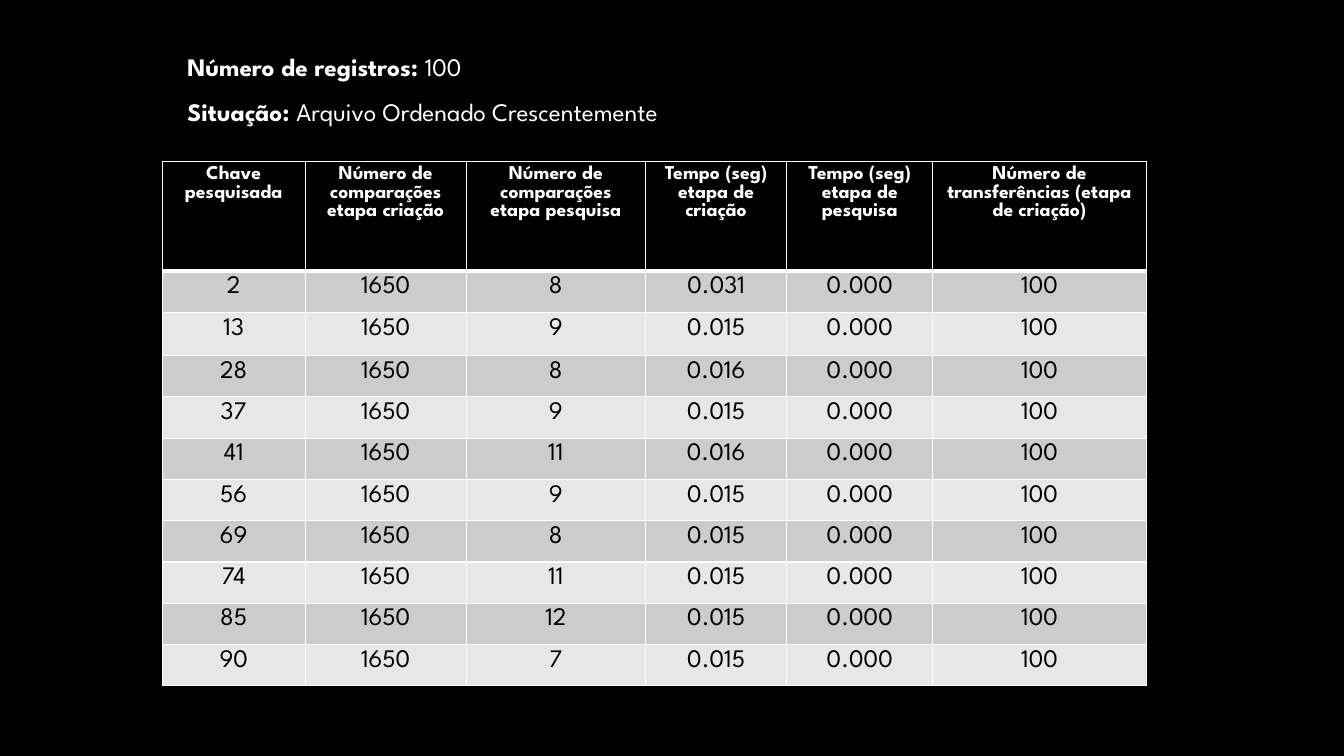
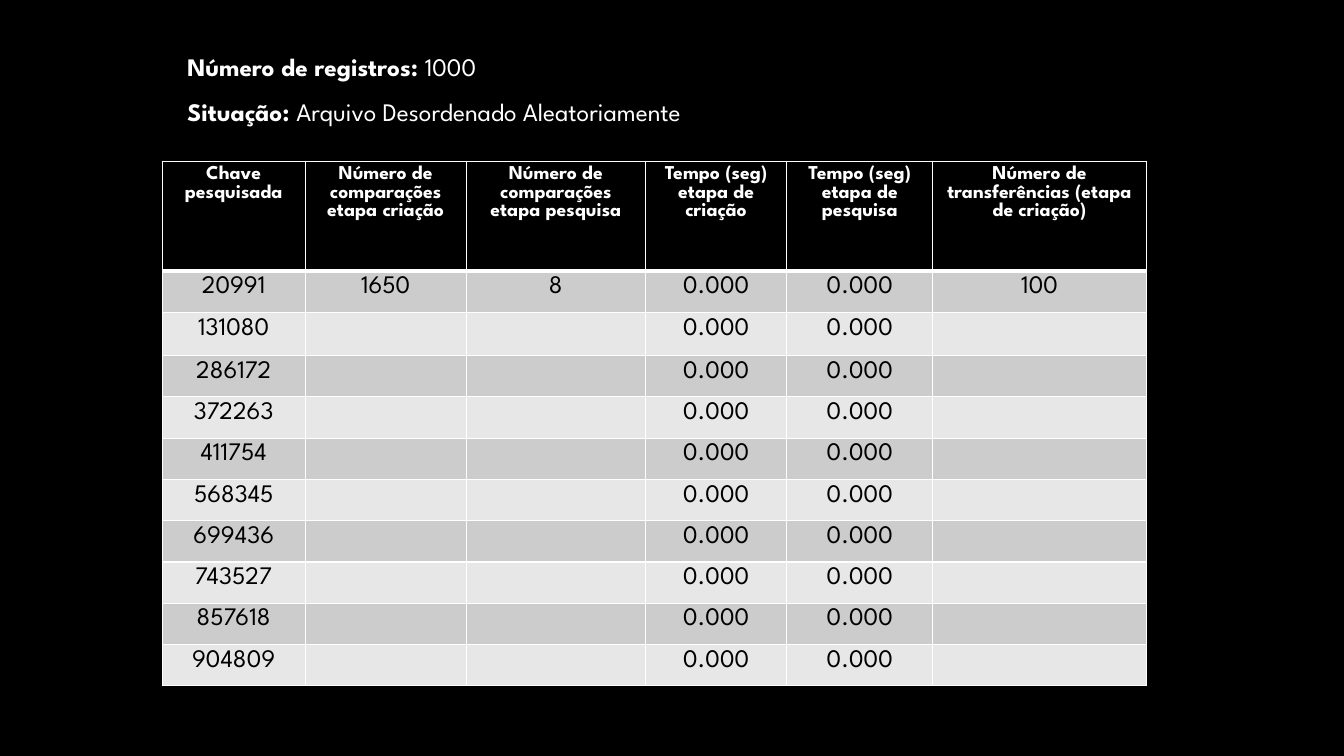
import dataclasses

import lxml.etree
import pptx
import pptx.dml.color
import pptx.enum.text
import pptx.oxml.ns
import pptx.util

Cm = pptx.util.Cm
Pt = pptx.util.Pt


@dataclasses.dataclass(frozen=True)
class Theme:
    font: str = "League Spartan"
    background: str = "000000"
    light: str = "FFFFFF"
    dark: str = "000000"
    bands: tuple = ("CCCCCC", "E7E7E7")
    body_size: int = 18
    header_size: int = 14
    rule: int = 1
    header_rule: int = 3


THEME = Theme()

COLUMN_WIDTHS = [3.6, 4.06, 4.52, 3.56, 3.68, 5.38]
ROW_HEIGHTS = [2.77, 1.04, 1.09] + [1.04] * 8
HEADERS = [
    "Chave pesquisada",
    "Número de comparações etapa criação",
    "Número de comparações etapa pesquisa",
    "Tempo (seg) etapa de criação",
    "Tempo (seg) etapa de pesquisa",
    "Número de transferências (etapa de criação)",
]

ordered_results = [
    (key, "1650", comparisons, creation_time, "0.000", "100")
    for key, comparisons, creation_time in [
        ("2", "8", "0.031"),
        ("13", "9", "0.015"),
        ("28", "8", "0.016"),
        ("37", "9", "0.015"),
        ("41", "11", "0.016"),
        ("56", "9", "0.015"),
        ("69", "8", "0.015"),
        ("74", "11", "0.015"),
        ("85", "12", "0.015"),
        ("90", "7", "0.015"),
    ]
]
random_results = [("20991", "1650", "8", "0.000", "0.000", "100")] + [
    (key, "", "", "0.000", "0.000", "")
    for key in ["131080", "286172", "372263", "411754", "568345",
                "699436", "743527", "857618", "904809"]
]
EXPERIMENTS = [
    ("100", "Arquivo Ordenado Crescentemente", ordered_results),
    ("1000", "Arquivo Desordenado Aleatoriamente", random_results),
]


def add_run(paragraph, text, size, color, bold=False):
    run = paragraph.add_run()
    run.text = text
    run.font.name = THEME.font
    run.font.size = Pt(size)
    run.font.bold = bold
    run.font.color.rgb = pptx.dml.color.RGBColor.from_string(color)


def add_borders(cell, top, bottom):
    """Rule all four sides of a cell; call before its fill is set."""
    qn = pptx.oxml.ns.qn
    properties = cell._tc.get_or_add_tcPr()
    sides = {"lnL": THEME.rule, "lnR": THEME.rule, "lnT": top, "lnB": bottom}
    for side, width in sides.items():
        line = lxml.etree.SubElement(properties, qn(f"a:{side}"), w=str(Pt(width)))
        fill = lxml.etree.SubElement(line, qn("a:solidFill"))
        lxml.etree.SubElement(fill, qn("a:srgbClr"), val=THEME.light)


deck = pptx.Presentation()
deck.slide_width = Cm(33.87)
deck.slide_height = Cm(19.05)
blank_layout = deck.slide_layouts[6]

for record_count, situation, results in EXPERIMENTS:
    slide = deck.slides.add_slide(blank_layout)
    backdrop = slide.background.fill
    backdrop.solid()
    backdrop.fore_color.rgb = pptx.dml.color.RGBColor.from_string(THEME.background)

    results_table = slide.shapes.add_table(
        len(ROW_HEIGHTS), len(COLUMN_WIDTHS), Cm(4.09), Cm(4.06),
        Cm(sum(COLUMN_WIDTHS)), Cm(sum(ROW_HEIGHTS))).table
    results_table.horz_banding = False
    for column, width in zip(results_table.columns, COLUMN_WIDTHS):
        column.width = Cm(width)
    for row, height in zip(results_table.rows, ROW_HEIGHTS):
        row.height = Cm(height)

    for row_index, values in enumerate([HEADERS] + results):
        is_header = row_index == 0
        if is_header:
            fill_color, text_color, size = THEME.background, THEME.light, THEME.header_size
        else:
            fill_color = THEME.bands[(row_index - 1) % 2]
            text_color, size = THEME.dark, THEME.body_size
        top_rule = THEME.header_rule if row_index == 1 else THEME.rule
        bottom_rule = THEME.header_rule if is_header else THEME.rule
        for column_index, value in enumerate(values):
            cell = results_table.cell(row_index, column_index)
            add_borders(cell, top_rule, bottom_rule)
            cell.fill.solid()
            cell.fill.fore_color.rgb = pptx.dml.color.RGBColor.from_string(fill_color)
            paragraph = cell.text_frame.paragraphs[0]
            paragraph.alignment = pptx.enum.text.PP_ALIGN.CENTER
            if value:
                add_run(paragraph, value, size, text_color, bold=is_header)

    summary = slide.shapes.add_textbox(Cm(4.47), Cm(0.79), Cm(16.15), Cm(2.57)).text_frame
    summary.word_wrap = True
    summary_lines = [("Número de registros: ", record_count), ("Situação: ", situation)]
    for line_index, (label, value) in enumerate(summary_lines):
        paragraph = summary.add_paragraph() if line_index else summary.paragraphs[0]
        paragraph.line_spacing = 1.5
        add_run(paragraph, label, THEME.body_size, THEME.light, bold=True)
        add_run(paragraph, value, THEME.body_size, THEME.light)

deck.save("out.pptx")
